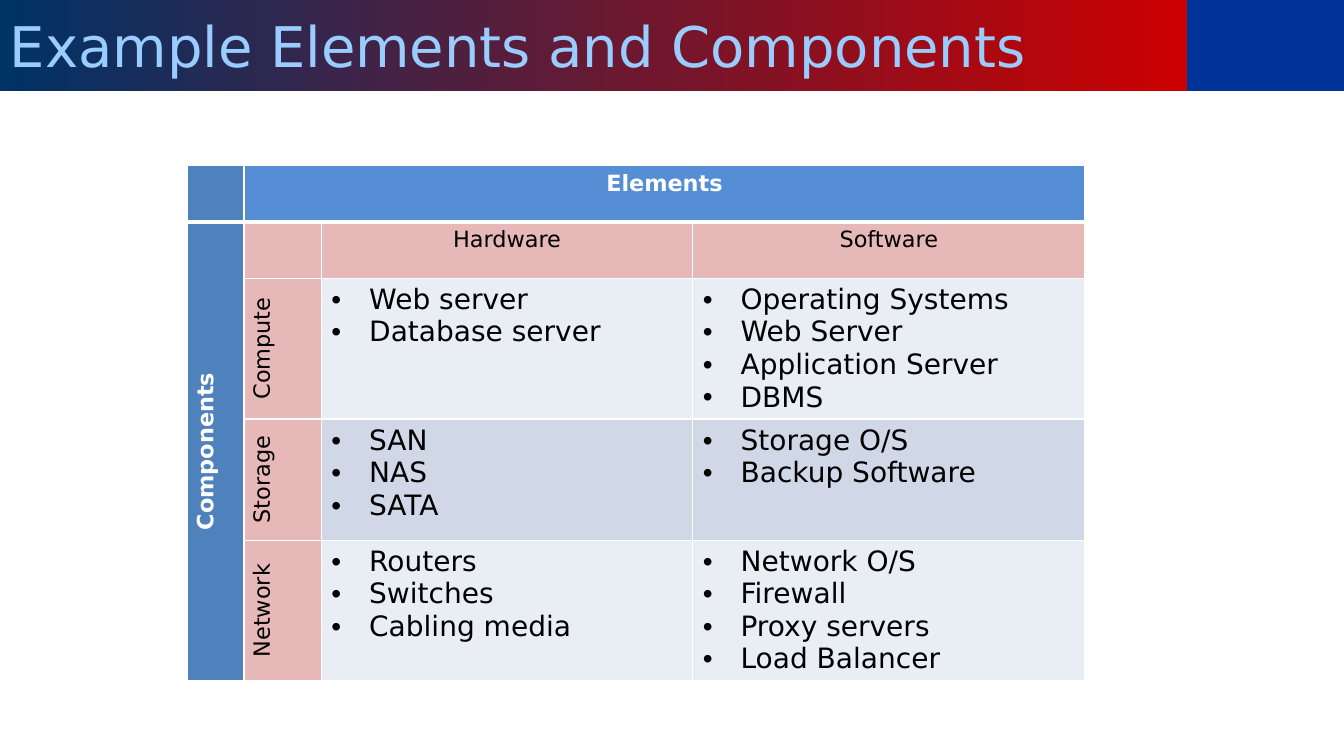
from lxml import etree
from pptx import Presentation
from pptx import util as u
from pptx.dml.color import RGBColor
from pptx.enum import shapes, text
from pptx.oxml.ns import qn

FONT = "DejaVu Sans"
WHITE, BLACK = "FFFFFF", "000000"
BLUE, BRIGHT_BLUE, PINK = "4F81BD", "558ED5", "E6B9B8"
BANDS = ["E9EDF4", "D0D8E8"]
INDENT = u.Cm(0.95)

COLUMNS = [1.42, 1.95, 9.36, 9.88]
ROWS = [1.42, 1.42, 3.55, 3.05, 3.55]
COMPONENTS = [
    ("Compute", ["Web server", "Database server"],
     ["Operating Systems", "Web Server", "Application Server", "DBMS"]),
    ("Storage", ["SAN", "NAS", "SATA"],
     ["Storage O/S", "Backup Software"]),
    ("Network", ["Routers", "Switches", "Cabling media"],
     ["Network O/S", "Firewall", "Proxy servers", "Load Balancer"]),
]


def rgb(value):
    return RGBColor.from_string(value)


def write(tf, lines, size=16, color=BLACK, bold=False, align=None, bullets=False):
    """Put one paragraph per line into a text frame."""
    for i, line in enumerate(lines):
        p = tf.paragraphs[0] if i == 0 else tf.add_paragraph()
        p.alignment = align
        r = p.add_run()
        r.text = line
        r.font.name, r.font.size, r.font.bold = FONT, u.Pt(size), bold
        r.font.color.rgb = rgb(color)
        if bullets:
            pPr = p._p.get_or_add_pPr()
            pPr.set("marL", str(INDENT))
            pPr.set("indent", str(-INDENT))
            etree.SubElement(pPr, qn("a:buFont"), typeface="Arial")
            etree.SubElement(pPr, qn("a:buChar"), char="•")


def add_bar(slide, left, top, width, height):
    sp = slide.shapes.add_shape(shapes.MSO_SHAPE.RECTANGLE, left, top, width, height)
    sp.shadow.inherit = False
    sp.line.fill.background()
    return sp


def add_title_band(slide, left, top, width, height):
    title_width = u.Cm(29.92)
    end = add_bar(slide, left + title_width, top, width - title_width, height)
    end.fill.solid()
    end.fill.fore_color.rgb = rgb("003399")

    title = add_bar(slide, left, top, title_width, height)
    title.fill.gradient()
    title.fill.gradient_angle = 0
    for stop, color in zip(title.fill.gradient_stops, ["003366", "CC0000"]):
        stop.color.rgb = rgb(color)
    title.text_frame.vertical_anchor = text.MSO_ANCHOR.MIDDLE
    write(title.text_frame, ["Example Elements and Components"], size=40,
          color="99CCFF", align=text.PP_ALIGN.LEFT)


def set_borders(cell, row):
    """White rules, thicker between the header row and the body."""
    widths = {"L": 1, "R": 1, "T": 3 if row == 1 else 1, "B": 3 if row == 0 else 1}
    tcPr = cell._tc.get_or_add_tcPr()
    for i, (side, width) in enumerate(widths.items()):
        ln = etree.Element(qn(f"a:ln{side}"), w=str(u.Pt(width)))
        fill = etree.SubElement(ln, qn("a:solidFill"))
        etree.SubElement(fill, qn("a:srgbClr"), val=WHITE)
        tcPr.insert(i, ln)


def fill_cell(cell, fill, lines=(), vertical=False, middle=False, **style):
    cell.fill.solid()
    cell.fill.fore_color.rgb = rgb(fill)
    if vertical:
        cell._tc.get_or_add_tcPr().set("vert", "vert270")
    if middle:
        cell.vertical_anchor = text.MSO_ANCHOR.MIDDLE
    write(cell.text_frame, lines, **style)


def add_components_table(slide, left, top, width, height):
    frame = slide.shapes.add_table(len(ROWS), len(COLUMNS), left, top, width, height)
    table = frame.table
    table.first_row = table.horz_banding = False
    for column, size in zip(table.columns, COLUMNS):
        column.width = u.Cm(size)
    for row, size in zip(table.rows, ROWS):
        row.height = u.Cm(size)
    for i in range(len(ROWS)):
        for j in range(len(COLUMNS)):
            set_borders(table.cell(i, j), i)
    table.cell(0, 1).merge(table.cell(0, 3))
    table.cell(1, 0).merge(table.cell(4, 0))

    label = {"align": text.PP_ALIGN.CENTER}
    heading = {"color": WHITE, "bold": True, **label}
    fill_cell(table.cell(0, 0), BLUE)
    fill_cell(table.cell(0, 1), BRIGHT_BLUE, ["Elements"], **heading)
    fill_cell(table.cell(1, 0), BLUE, ["Components"], vertical=True, **heading)
    fill_cell(table.cell(1, 1), PINK)
    fill_cell(table.cell(1, 2), PINK, ["Hardware"], **label)
    fill_cell(table.cell(1, 3), PINK, ["Software"], **label)
    for i, (name, *elements) in enumerate(COMPONENTS):
        fill_cell(table.cell(i + 2, 1), PINK, [name], vertical=True, middle=True, **label)
        for j, items in enumerate(elements, start=2):
            fill_cell(table.cell(i + 2, j), BANDS[i % 2], items, size=20, bullets=True)


def main():
    prs = Presentation()
    prs.slide_width, prs.slide_height = u.Cm(33.87), u.Cm(19.05)
    slide = prs.slides.add_slide(prs.slide_layouts[6])
    add_title_band(slide, 0, 0, prs.slide_width, u.Cm(2.29))
    add_components_table(slide, u.Cm(4.73), u.Cm(4.17),
                         u.Cm(sum(COLUMNS)), u.Cm(sum(ROWS)))
    prs.save("out.pptx")


if __name__ == "__main__":
    main()
